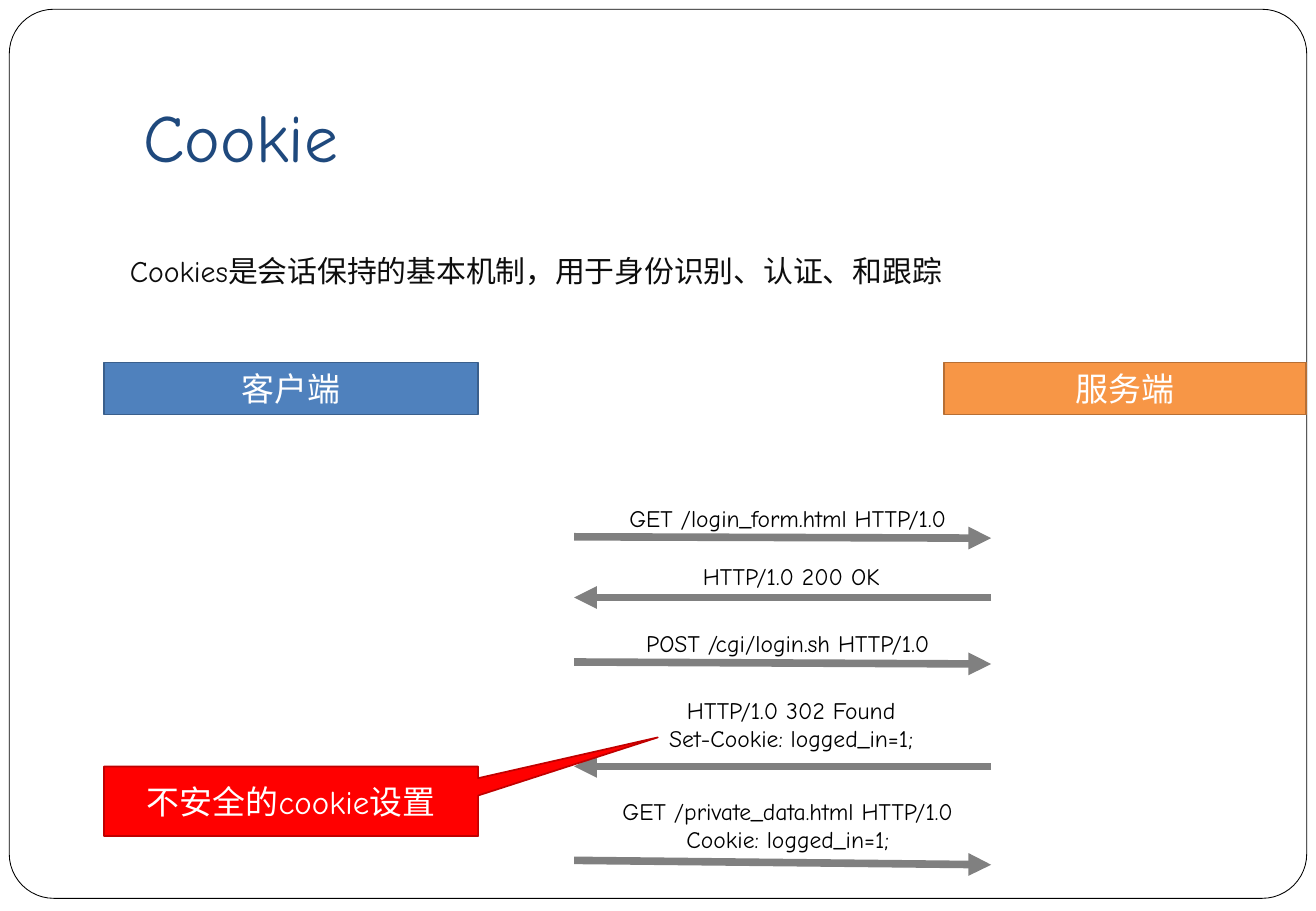
from lxml import etree
from pptx import Presentation
from pptx.dml.color import RGBColor
from pptx.enum import shapes as es, text as et
from pptx.oxml.ns import qn
from pptx.util import Pt

COMIC, NOTO = "Comic Neue", "Noto Sans CJK SC"
LEFT, RIGHT = 340.3, 587.5

# label lines, label top, label width, arrow start y, arrow end y
CALLS = [
    (["GET /login_form.html HTTP/1.0"], 295.2, 226, 318.2, 319),
    (["HTTP/1.0 200 OK"], 329.4, 132, 354.2, 354.2),
    (["POST /cgi/login.sh HTTP/1.0"], 369.4, 206, 392.4, 393.6),
    (["HTTP/1.0 302 Found", "Set-Cookie: logged_in=1;"],
     409, 176, 454.3, 454.3),
    (["GET /private_data.html HTTP/1.0", "Cookie: logged_in=1;"],
     468.7, 239, 510, 512.6),
]


def rgb(code):
    return RGBColor.from_string(code)


def place(shape, *box):
    shape.left, shape.top, shape.width, shape.height = map(Pt, box)


def unmark(para):
    """Take the bullet and its indent off a paragraph."""
    props = para._p.get_or_add_pPr()
    props.set("marL", "0")
    props.set("indent", "0")
    etree.SubElement(props, qn("a:buNone"))


def style(para, size, color, name=COMIC, align=et.PP_ALIGN.CENTER):
    para.alignment = align
    font = para.font
    font.size, font.name = Pt(size), name
    font.color.rgb = rgb(color)
    props = para._p.pPr.find(qn("a:defRPr"))
    etree.SubElement(props, qn("a:ea")).set("typeface", NOTO)


def write(frame, lines, *look, **more):
    frame.text = "\n".join(lines)
    for para in frame.paragraphs:
        style(para, *look, **more)


def add_box(slide, kind, box, fill, line, width=1):
    shape = slide.shapes.add_shape(kind, *map(Pt, box))
    shape.shadow.inherit = False
    shape.fill.solid()
    shape.fill.fore_color.rgb = rgb(fill)
    shape.line.color.rgb = rgb(line)
    shape.line.width = Pt(width)
    shape.text_frame.vertical_anchor = et.MSO_ANCHOR.MIDDLE
    return shape


def add_frame(slide):
    """Draw the rounded page border behind everything else."""
    frame = add_box(slide, es.MSO_SHAPE.ROUNDED_RECTANGLE,
                    (5.5, 5.5, 769, 527), "FFFFFF", "000000", 0.5)
    frame.adjustments[0] = 0.05
    slide.shapes._spTree.insert(2, frame._element)


def add_title(slide, words):
    title = slide.shapes.title
    place(title, 77.8, 21.6, 663, 90)
    frame = title.text_frame
    frame.auto_size = et.MSO_AUTO_SIZE.NONE
    frame.vertical_anchor = et.MSO_ANCHOR.BOTTOM
    frame.margin_bottom = Pt(7.2)
    write(frame, [words], 40, "1F497D", align=et.PP_ALIGN.LEFT)


def add_body(slide, words):
    body = slide.placeholders[1]
    place(body, 69.8, 144.6, 588.2, 31.7)
    frame = body.text_frame
    frame.auto_size = et.MSO_AUTO_SIZE.NONE
    frame.vertical_anchor = et.MSO_ANCHOR.MIDDLE
    frame.text = words
    para = frame.paragraphs[0]
    para.space_before = Pt(0)
    unmark(para)
    style(para, 17.7, "0D0D0D", align=et.PP_ALIGN.LEFT)


def add_arrow(group, start, end):
    arrow = group.shapes.add_connector(
        es.MSO_CONNECTOR.STRAIGHT, *map(Pt, start + end))
    arrow.line.color.rgb = rgb("808080")
    arrow.line.width = Pt(4.5)
    tail = etree.SubElement(arrow.line._get_or_add_ln(), qn("a:tailEnd"))
    tail.set("type", "triangle")
    etree.SubElement(arrow._element.spPr, qn("a:effectLst"))


def add_call(slide, lines, top, width, begin, end, reply):
    """Add one labelled message; replies point back to the client."""
    group = slide.shapes.add_group_shape()
    source, target = (RIGHT, LEFT) if reply else (LEFT, RIGHT)
    add_arrow(group, (source, begin), (target, end))
    middle = 469 if reply else 467
    height = 7.7 + 16.7 * len(lines)
    label = group.shapes.add_textbox(
        *map(Pt, (middle - width / 2, top, width, height)))
    label.text_frame.word_wrap = False
    label.text_frame.auto_size = et.MSO_AUTO_SIZE.SHAPE_TO_FIT_TEXT
    write(label.text_frame, lines, 14, "000000")


def main():
    deck = Presentation()
    deck.slide_width, deck.slide_height = Pt(780), Pt(540)
    slide = deck.slides.add_slide(deck.slide_layouts[1])
    add_frame(slide)
    add_title(slide, "Cookie")
    add_body(slide, "Cookies是会话保持的基本机制，用于身份识别、认证、和跟踪")

    for name, left, width, fill, line in [
            ("客户端", 61.6, 221.8, "4F81BD", "3A5F8C"),
            ("服务端", 559.5, 214.5, "F79646", "B76F34")]:
        side = add_box(slide, es.MSO_SHAPE.RECTANGLE,
                       (left, 214.8, width, 31), fill, line)
        write(side.text_frame, [name], 19.5, "FFFFFF", NOTO)

    for index, call in enumerate(CALLS):
        add_call(slide, *call, reply=index % 2 == 1)

    note = add_box(slide, es.MSO_SHAPE.RECTANGULAR_CALLOUT,
                   (61.6, 454.4, 221.8, 41.2), "FF0000", "C00000")
    note.adjustments[0], note.adjustments[1] = 0.98, -0.92
    write(note.text_frame, ["不安全的cookie设置"], 19.5, "FFFFFF")
    deck.save("out.pptx")


if __name__ == "__main__":
    main()
